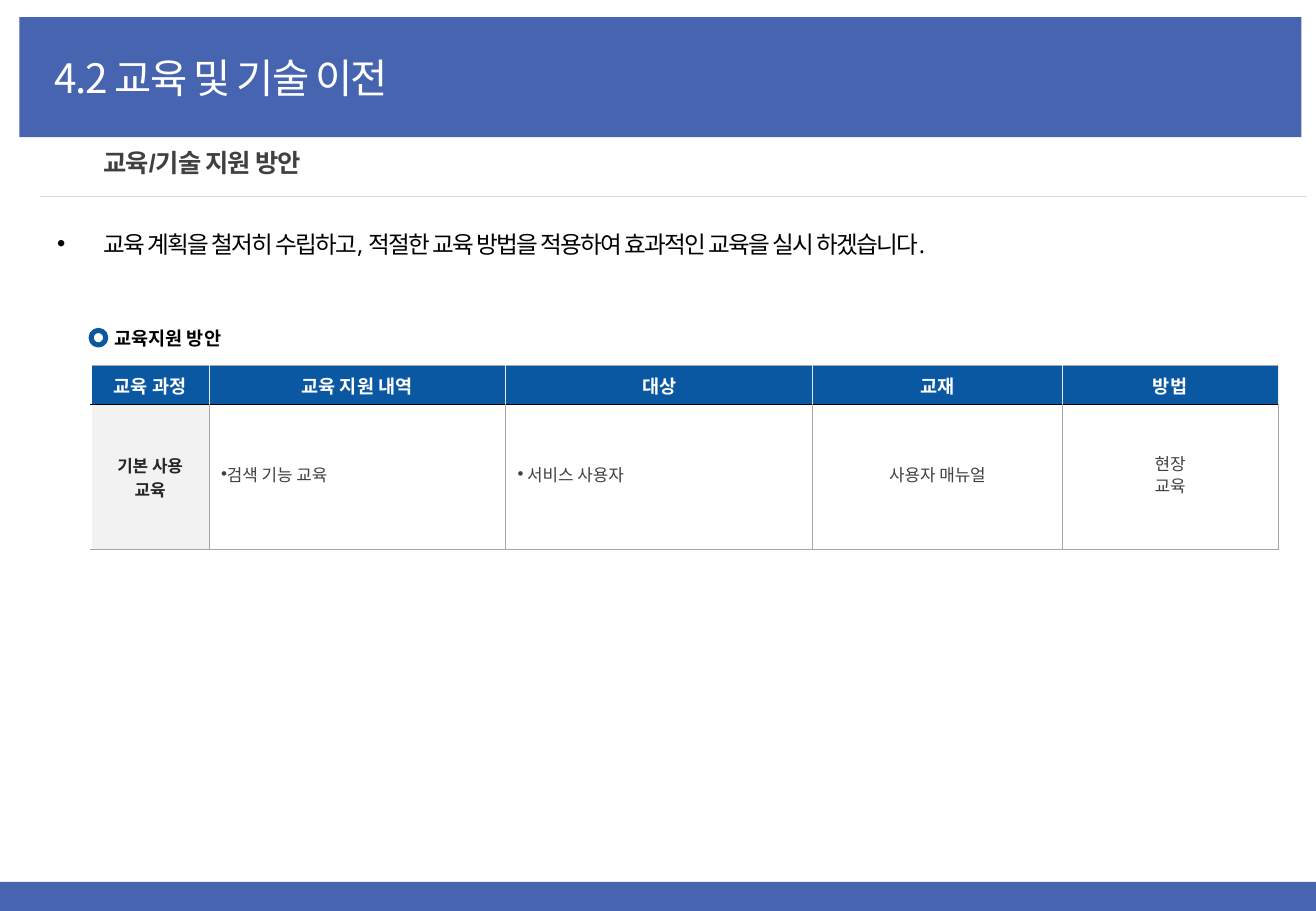
"""Build the education and technology transfer slide."""
from dataclasses import dataclass
from typing import Optional

from lxml.etree import SubElement
from pptx import Presentation
from pptx.dml.color import RGBColor
from pptx.enum.shapes import MSO_CONNECTOR, MSO_SHAPE
from pptx.enum.text import MSO_ANCHOR, MSO_AUTO_SIZE, PP_ALIGN
from pptx.oxml.ns import qn
from pptx.util import Inches, Pt

BAND_BLUE = RGBColor(0x47, 0x64, 0xB0)
TABLE_BLUE = RGBColor(0x0B, 0x58, 0xA2)
WHITE = RGBColor(0xFF, 0xFF, 0xFF)
BLACK = RGBColor(0, 0, 0)
INK = RGBColor(0x26, 0x26, 0x26)
DARK_GREY = RGBColor(0x40, 0x40, 0x40)
RULE_GREY = RGBColor(0xD9, 0xD9, 0xD9)
GRID_GREY = RGBColor(0xA6, 0xA6, 0xA6)
GRID_LIGHT = RGBColor(0xE6, 0xEA, 0xEE)
PALE_GREY = RGBColor(0xF2, 0xF2, 0xF2)
KOREAN, ARIAL, OPEN = "Noto Sans CJK KR", "Arial", "Open Sans"


@dataclass
class TextStyle:
    size: float
    color: RGBColor
    bold: bool = False
    spacing: float = 0


@dataclass
class Span:
    text: str
    font: str = KOREAN


@dataclass
class Column:
    heading: str
    width: float
    lines: list[str]
    align: PP_ALIGN = PP_ALIGN.CENTER
    bullet: bool = False


TITLE = TextStyle(24, WHITE, spacing=-1)
SUBTITLE = TextStyle(15, DARK_GREY, True, -0.5)
MESSAGE = TextStyle(14, BLACK, spacing=-1)
LABEL = TextStyle(11, BLACK, True)
HEADING = TextStyle(11, WHITE, True)
COURSE = TextStyle(10, INK, True)
DETAIL = TextStyle(10, DARK_GREY)

BANDS = [(0.16, 0.14, 10.55, 0.99), (0, 7.26, 10.83, 0.24)]
COLUMNS = [
    Column("교육 과정", 0.97, ["기본 사용 교육"]),
    Column("교육 지원 내역", 2.44, ["검색 기능 교육"], PP_ALIGN.LEFT, True),
    Column("대상", 2.53, [" 서비스 사용자"], PP_ALIGN.LEFT, True),
    Column("교재", 2.05, ["사용자 매뉴얼"]),
    Column("방법", 1.78, ["현장", "교육"]),
]


def write(para, spans: list[Span], style: TextStyle) -> None:
    para.font.size = Pt(style.size)
    para.font.bold = style.bold
    para.font.color.rgb = style.color
    for span in spans:
        run = para.add_run()
        run.text = span.text
        run.font.name = span.font
        properties = run.font._element
        SubElement(properties, qn("a:ea"), typeface=KOREAN)
        if style.spacing:
            properties.set("spc", str(int(style.spacing * 100)))


def add_bullet(para, indent: float = 0) -> None:
    properties = para._p.get_or_add_pPr()
    properties.set("marL", str(Inches(indent)))
    properties.set("indent", str(Inches(-indent)))
    SubElement(properties, qn("a:buFont"), typeface=ARIAL)
    SubElement(properties, qn("a:buChar"), char="•")


def place(box, left: float, top: float, width: float, height: float,
          wrap: bool = True, anchor: MSO_ANCHOR = MSO_ANCHOR.TOP):
    box.left, box.top = Inches(left), Inches(top)
    box.width, box.height = Inches(width), Inches(height)
    frame = box.text_frame
    frame.word_wrap = wrap
    frame.auto_size = MSO_AUTO_SIZE.NONE
    frame.vertical_anchor = anchor
    return frame


def add_solid(page, kind: MSO_SHAPE, left: float, top: float, width: float, height: float,
              fill: RGBColor, line: Optional[RGBColor] = None):
    shape = page.shapes.add_shape(kind, Inches(left), Inches(top), Inches(width), Inches(height))
    shape.shadow.inherit = False
    shape.fill.solid()
    shape.fill.fore_color.rgb = fill
    if line is None:
        shape.line.fill.background()
    else:
        shape.line.color.rgb = line
        shape.line.width = Pt(3)
    return shape


def add_border(cell, side: str, color: RGBColor, width: float) -> None:
    border = SubElement(cell._tc.get_or_add_tcPr(), qn(f"a:ln{side}"), w=str(Pt(width)))
    fill = SubElement(border, qn("a:solidFill"))
    SubElement(fill, qn("a:srgbClr"), val=str(color))


def format_cell(cell, fill: RGBColor, side_color: RGBColor, first: bool, header: bool) -> None:
    cell.vertical_anchor = MSO_ANCHOR.MIDDLE
    if not first:
        add_border(cell, "L", side_color, 0.5)
    add_border(cell, "R", side_color, 0.5)
    grey, black = (GRID_GREY, 0.5), (BLACK, 1)
    add_border(cell, "T", *(grey if header else black))
    add_border(cell, "B", *(black if header else grey))
    cell.fill.solid()
    cell.fill.fore_color.rgb = fill


def add_course_table(page) -> None:
    table = page.shapes.add_table(2, len(COLUMNS), Inches(0.75), Inches(3.01),
                                  Inches(9.77), Inches(1.47)).table
    table.rows[0].height, table.rows[1].height = Inches(0.28), Inches(1.19)
    for index, column in enumerate(COLUMNS):
        first = index == 0
        table.columns[index].width = Inches(column.width)
        heading, body = table.cell(0, index), table.cell(1, index)
        format_cell(heading, TABLE_BLUE, GRID_LIGHT, first, True)
        format_cell(body, PALE_GREY if first else WHITE, GRID_GREY, first, False)
        para = heading.text_frame.paragraphs[0]
        para.alignment = PP_ALIGN.CENTER
        write(para, [Span(column.heading, ARIAL)], HEADING)
        for number, line in enumerate(column.lines):
            frame = body.text_frame
            para = frame.add_paragraph() if number else frame.paragraphs[0]
            para.alignment = column.align
            if not first:
                para.line_spacing, para.space_before = Pt(11), Pt(2)
            if column.bullet:
                add_bullet(para)
            write(para, [Span(line, ARIAL)], COURSE if first else DETAIL)


def main() -> None:
    deck = Presentation()
    deck.slide_width, deck.slide_height = Inches(10.83), Inches(7.5)
    page = deck.slides.add_slide(deck.slide_layouts[1])
    title, body = page.shapes.title, page.placeholders[1]

    for band in BANDS:
        shape = add_solid(page, MSO_SHAPE.RECTANGLE, *band, BAND_BLUE)
        title.element.addprevious(shape.element)

    para = place(title, 0.35, 0.39, 3.28, 0.5, wrap=False).paragraphs[0]
    para.alignment = PP_ALIGN.LEFT
    write(para, [Span("4.2 교육 및 기술 이전")], TITLE)

    rule = page.shapes.add_connector(MSO_CONNECTOR.STRAIGHT, Inches(0.33), Inches(1.62),
                                     Inches(10.76), Inches(1.62))
    rule.line.color.rgb = RULE_GREY
    rule.line.width = Pt(0.5)
    SubElement(rule.element.spPr, qn("a:effectLst"))

    subtitle = page.shapes.add_textbox(0, 0, 0, 0)
    para = place(subtitle, 0.75, 1.19, 4.01, 0.35).paragraphs[0]
    para.line_spacing, para.space_before = 0.9, Pt(11)
    write(para, [Span("교육"), Span("/", ARIAL), Span("기술 지원 방안")], SUBTITLE)

    para = place(body, 0.37, 1.84, 10.39, 0.6).paragraphs[0]
    para.space_before = Pt(11)
    add_bullet(para, 0.38)
    write(para, [Span("교육 계획을 철저히 수립하고"), Span(",", OPEN),
                 Span(" 적절한 교육 방법을 적용하여 효과적인 교육을 실시 하겠습니다"),
                 Span(".", OPEN)], MESSAGE)

    add_course_table(page)
    label = page.shapes.add_textbox(0, 0, 0, 0)
    frame = place(label, 0.94, 2.69, 0.98, 0.19, wrap=False, anchor=MSO_ANCHOR.MIDDLE)
    frame.margin_left = frame.margin_right = frame.margin_top = frame.margin_bottom = 0
    write(frame.paragraphs[0], [Span("교육지원 방안")], LABEL)
    add_solid(page, MSO_SHAPE.OVAL, 0.75, 2.72, 0.12, 0.12, WHITE, TABLE_BLUE)
    deck.save("out.pptx")


if __name__ == "__main__":
    main()
